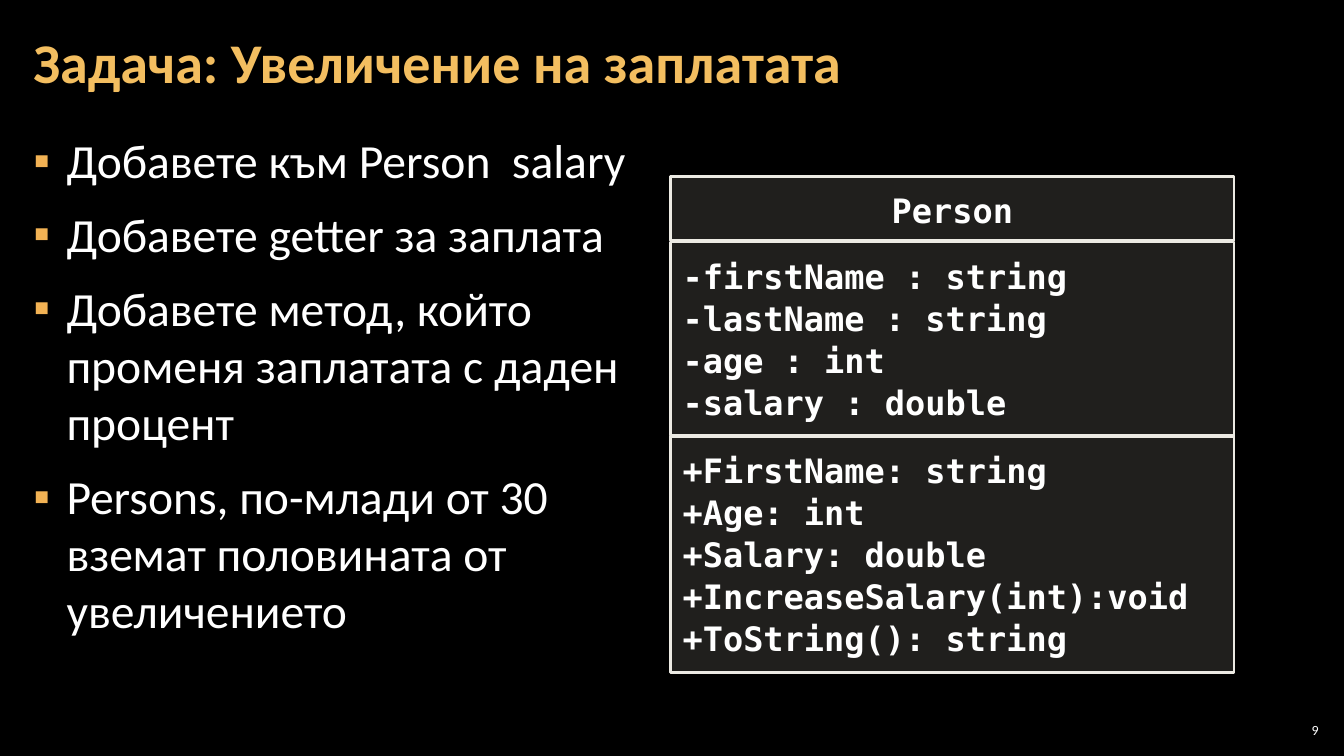
"""Builds a slide with a task list and a class diagram."""
from lxml.etree import SubElement as Sub
from pptx import Presentation
from pptx.dml.color import RGBColor
from pptx.enum.shapes import MSO_SHAPE as Kind
from pptx.enum.text import MSO_ANCHOR as Anchor, MSO_AUTO_SIZE as Fit, PP_ALIGN as Align
from pptx.oxml.ns import qn
from pptx.util import Pt

PX = 9144
BLACK = RGBColor(0x00, 0x00, 0x00)
WHITE = RGBColor(0xFF, 0xFF, 0xFF)
GOLD = RGBColor(0xF3, 0xBE, 0x60)
AMBER = RGBColor(0xF2, 0xB2, 0x54)
SAND = RGBColor(0xD9, 0xD5, 0xC7)
IVORY = RGBColor(0xEC, 0xEA, 0xE3)

TASKS = [
    "Добавете към Person  salary",
    "Добавете getter за заплата",
    "Добавете метод, който променя заплатата с даден процент",
    "Persons, по-млади от 30 вземат половината от увеличението",
]
PARTS = [
    (64, Align.CENTER, ["Person"]),
    (192, Align.LEFT, ["-firstName : string", "-lastName : string",
                       "-age : int", "-salary : double"]),
    (234, Align.LEFT, ["+FirstName: string", "+Age: int", "+Salary: double",
                       "+IncreaseSalary(int):void", "+ToString(): string"]),
]


class Deck:
    sans = "Calibri"
    mono = "DejaVu Sans Mono"

    def __init__(self, wide, high):
        self.file = Presentation()
        self.file.slide_width, self.file.slide_height = wide * PX, high * PX
        self.slide = self.file.slides.add_slide(self.file.slide_layouts[1])
        fill = self.slide.background.fill
        fill.solid()
        fill.fore_color.rgb = BLACK

    def place(self, shape, *box):
        shape.left, shape.top, shape.width, shape.height = [n * PX for n in box]

    def label(self, shape, text, size, color, font=sans, bold=False,
              align=Align.LEFT, anchor=Anchor.TOP, pad=(12, 4), **gaps):
        frame = shape.text_frame
        frame.text = text
        frame.word_wrap = True
        frame.auto_size = Fit.NONE
        frame.vertical_anchor = anchor
        frame.margin_left = frame.margin_right = pad[0] * PX
        frame.margin_top = frame.margin_bottom = pad[1] * PX
        for para in frame.paragraphs:
            para.alignment = align
            for name, gap in gaps.items():
                if name == "leading":
                    para.line_spacing = gap
                else:
                    para.space_before = para.space_after = gap
            for run in para.runs:
                run.font.name, run.font.size = font, Pt(size)
                run.font.bold, run.font.color.rgb = bold, color

    def title(self, text, *box):
        shape = self.slide.shapes.title
        self.place(shape, *box)
        self.label(shape, text, 40, GOLD, bold=True, anchor=Anchor.MIDDLE,
                   leading=0.9)

    def bullets(self, items, *box):
        shape = self.slide.placeholders[1]
        self.place(shape, *box)
        self.label(shape, "\n".join(items), 34, WHITE, around=Pt(6))
        for para in shape.text_frame.paragraphs:
            props = para._p.get_or_add_pPr()
            props.set("marL", str(33 * PX))
            props.set("indent", str(-33 * PX))
            Sub(Sub(props, qn("a:buClr")), qn("a:srgbClr"), val=str(AMBER))
            Sub(props, qn("a:buChar"), char="▪")

    def diagram(self, parts, left, top, wide, gap):
        group = self.slide.shapes.add_group_shape()
        for high, align, lines in parts:
            box = [n * PX for n in (left, top, wide, high)]
            shape = group.shapes.add_shape(Kind.RECTANGLE, *box)
            shape.shadow.inherit = False
            shape.fill.solid()
            shape.fill.fore_color.rgb = SAND
            tint = shape._element.spPr.find(qn("a:solidFill"))[0]
            Sub(tint, qn("a:alpha"), val="15000")
            shape.line.color.rgb = IVORY
            shape.line.width = Pt(2)
            self.label(shape, "\n".join(lines), 24, WHITE, self.mono, True,
                       align, pad=(12, 12), leading=Pt(30))
            top += high + gap

    def number(self, text, *box):
        shape = self.slide.shapes.add_textbox(*[n * PX for n in box])
        self.label(shape, text, 10, WHITE, align=Align.RIGHT,
                   anchor=Anchor.MIDDLE, pad=(4, 4))


deck = Deck(1333, 750)
deck.title("Задача: Увеличение на заплатата", 21, 4, 1047, 121)
deck.bullets(TASKS, 21, 126, 629, 542)
deck.diagram(PARTS, 665, 175, 559, 1)
deck.number("9", 1265, 714, 47, 21)
deck.file.save("out.pptx")
